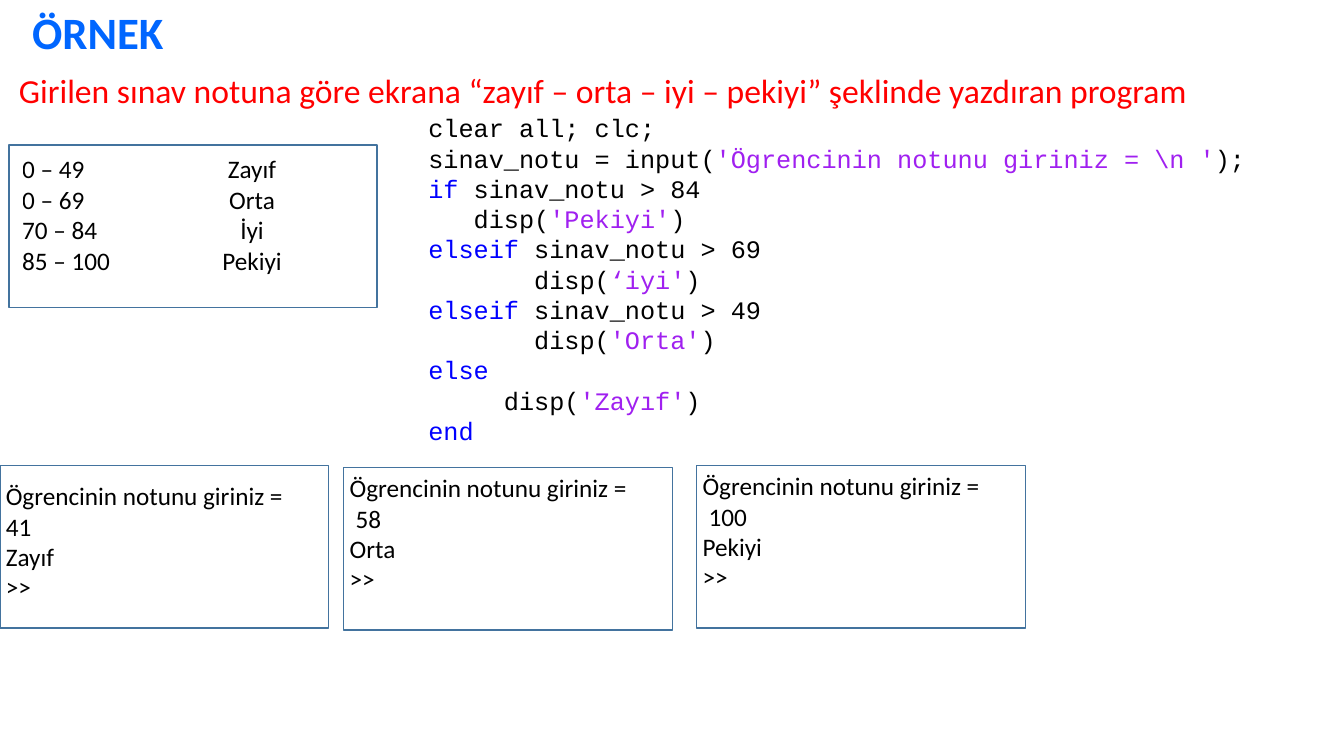
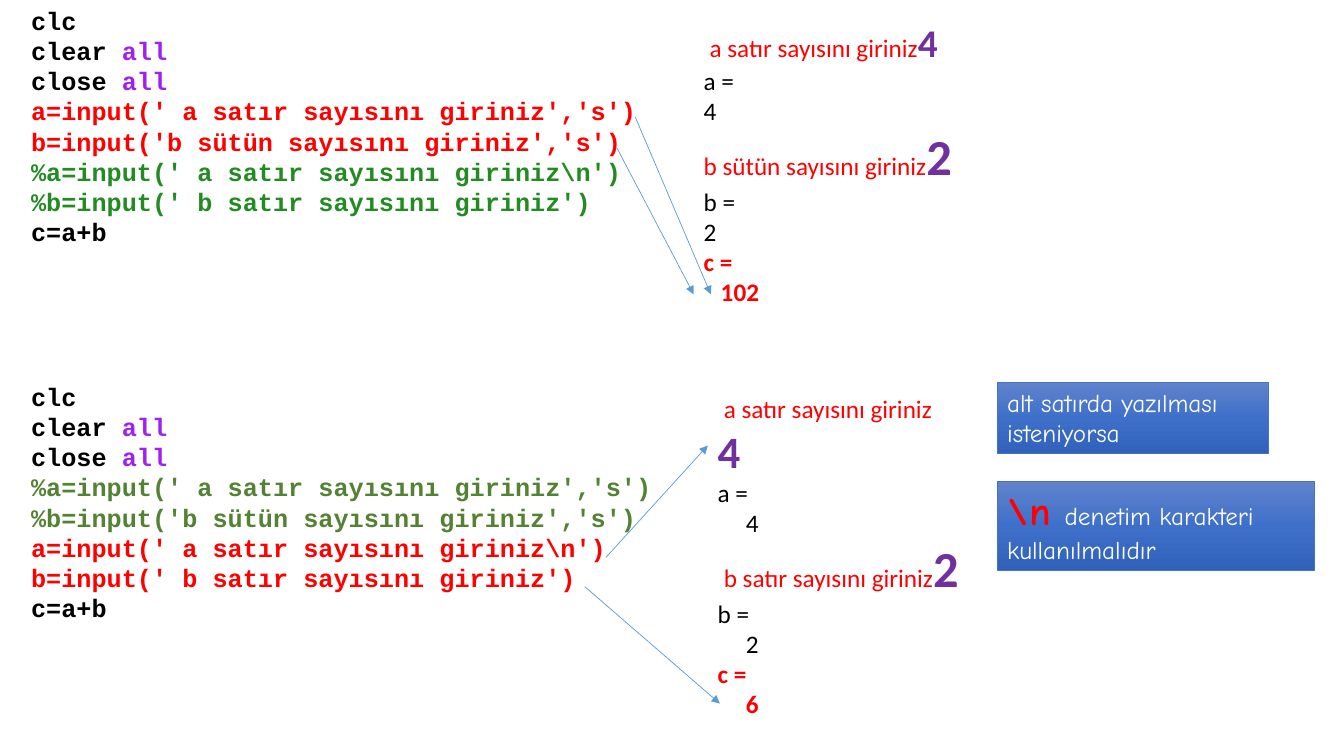
from copy import deepcopy
from dataclasses import dataclass
from typing import NamedTuple, Optional

from lxml.etree import SubElement
from pptx import Presentation
from pptx.dml.color import RGBColor
from pptx.enum.shapes import MSO_CONNECTOR, MSO_SHAPE
from pptx.enum.text import MSO_ANCHOR, MSO_AUTO_SIZE, PP_ALIGN
from pptx.oxml.ns import qn
from pptx.slide import Slide
from pptx.text.text import TextFrame
from pptx.util import Pt

EMU_PER_PX = 9144
SLIDE_WIDTH, SLIDE_HEIGHT = 1333, 750
BODY_FONT, CODE_FONT, NOTE_FONT = "Calibri", "Courier New", "Comic Neue"
BODY_SIZE = 18
CODE_COLUMN = 15

COLORS = {
    "black": "000000",
    "white": "FFFFFF",
    "red": "FF0000",
    "title": "0066FF",
    "keyword": "0000FF",
    "string": "A020F0",
    "comment": "228B22",
    "dark_comment": "548235",
    "answer": "7030A0",
    "frame": "43739E",
    "arrow": "5B9BD5",
    "note_line": "4472C4",
}
NOTE_GRADIENT = ((0, "6183CB"), (0.5, "3E70CA"), (1, "3062BB"))


class Box(NamedTuple):
    left: int
    top: int
    width: int
    height: int


class Run(NamedTuple):
    text: str
    color: Optional[str] = None
    size: Optional[int] = None
    bold: Optional[bool] = None


@dataclass(frozen=True)
class Line:
    runs: tuple[Run, ...]
    indent: int = 0


@dataclass(frozen=True)
class Console:
    left: int
    top: int
    text_top: int
    number: str
    number_indent: int
    result: str


@dataclass(frozen=True)
class Arrow:
    start: tuple[int, int]
    end: tuple[int, int]


@dataclass(frozen=True)
class Note:
    box: Box
    runs: tuple[Run, ...]


def line(*runs: Run | str, indent: int = 0) -> Line:
    return Line(tuple(Run(run) if isinstance(run, str) else run for run in runs), indent)


def keyword(text: str) -> Run:
    return Run(text, "keyword")


def red(text: str) -> Run:
    return Run(text, "red")


def display(text: str, columns: int) -> Line:
    return line("disp(", Run(text, "string"), ")", indent=columns * CODE_COLUMN)


def sum_result(text: str, indent: int = 0) -> Line:
    return line(Run(text, "red", bold=True), indent=indent)


GRADES = (("0 – 49", "Zayıf"), ("0 – 69", "Orta"), ("70 – 84", "İyi"), ("85 – 100", "Pekiyi"))

GRADE_CODE = [
    line("clear all; clc;"),
    line("sinav_notu = input(", Run("'Ögrencinin notunu giriniz = \\n '", "string"), ");"),
    line(keyword("if "), "sinav_notu > 84"),
    display("'Pekiyi'", 3),
    line(keyword("elseif "), "sinav_notu > 69"),
    display("‘iyi'", 7),
    line(keyword("elseif "), "sinav_notu > 49"),
    display("'Orta'", 7),
    line(keyword("else")),
    display("'Zayıf'", 5),
    line(keyword("end")),
]

CONSOLES = (
    Console(0, 462, 472, "41", 0, "Zayıf"),
    Console(341, 464, 464, "58", 6, "Orta"),
    Console(691, 462, 462, "100", 6, "Pekiyi"),
)

TEXT_INPUTS = ("a=input(' a satır sayısını giriniz','s')", "b=input('b sütün sayısını giriniz','s')")
NUMBER_INPUTS = ("a=input(' a satır sayısını giriniz\\n')", "b=input(' b satır sayısını giriniz')")

TEXT_OUTPUT = [
    line(red("a satır sayısını giriniz"), Run("4", "answer", 28, True), indent=6),
    line("a ="),
    line("4"),
    line(red("b sütün sayısını giriniz"), Run("2", "answer", 36, True)),
    line("b ="),
    line("2"),
    sum_result("c ="),
    sum_result("102", 17),
]
NUMBER_OUTPUT = [
    line(red("a satır sayısını giriniz"), indent=6),
    line(Run("4", "answer", 32, True)),
    line("a ="),
    line("4", indent=28),
    line(red("b satır sayısını giriniz"), Run("2", "answer", 36, True), indent=6),
    line("b ="),
    line("2", indent=28),
    sum_result("c ="),
    sum_result("6", 28),
]

ARROWS = (
    Arrow((630, 116), (705, 292)),
    Arrow((612, 147), (688, 292)),
    Arrow((601, 553), (702, 442)),
    Arrow((580, 582), (714, 698)),
)

NOTES = (
    Note(Box(989, 379, 269, 71), (Run("alt satırda yazılması isteniyorsa"),)),
    Note(
        Box(989, 478, 315, 88),
        (Run("\\n ", "red", 28, True), Run("denetim karakteri kullanılmalıdır")),
    ),
)


def px(*lengths: int) -> list[int]:
    return [length * EMU_PER_PX for length in lengths]


def rgb(name: str) -> RGBColor:
    return RGBColor.from_string(COLORS[name])


def write_text(
    frame: TextFrame,
    lines: list[Line],
    *,
    font: str = BODY_FONT,
    size: int = BODY_SIZE,
    color: str = "black",
    bold: bool = False,
    align: PP_ALIGN = PP_ALIGN.LEFT,
) -> None:
    for index, content in enumerate(lines):
        paragraph = frame.add_paragraph() if index else frame.paragraphs[0]
        paragraph.alignment = align
        if content.indent:
            paragraph._p.get_or_add_pPr().set("marL", str(content.indent * EMU_PER_PX))
        for part in content.runs:
            run = paragraph.add_run()
            run.text = part.text
            run.font.name = font
            run.font.size = Pt(part.size or size)
            run.font.bold = bold if part.bold is None else part.bold
            run.font.color.rgb = rgb(part.color or color)


def add_text(slide: Slide, box: Box, lines: list[Line], **text_format) -> None:
    frame = slide.shapes.add_textbox(*px(*box)).text_frame
    frame.word_wrap = True
    frame.auto_size = MSO_AUTO_SIZE.SHAPE_TO_FIT_TEXT
    write_text(frame, lines, **text_format)


def add_frame(slide: Slide, box: Box) -> None:
    shape = slide.shapes.add_shape(MSO_SHAPE.RECTANGLE, *px(*box))
    shape.shadow.inherit = False
    shape.fill.background()
    shape.line.color.rgb = rgb("frame")
    shape.line.width = Pt(1)


def add_note(slide: Slide, note: Note) -> None:
    shape = slide.shapes.add_shape(MSO_SHAPE.RECTANGLE, *px(*note.box))
    shape.shadow.inherit = False
    shape.fill.gradient()
    shape.fill.gradient_angle = 270
    stop_list = shape.element.spPr.find(qn("a:gradFill")).find(qn("a:gsLst"))
    stop_list.append(deepcopy(stop_list[-1]))
    for stop, (position, color) in zip(shape.fill.gradient_stops, NOTE_GRADIENT):
        stop.position = position
        stop.color.rgb = RGBColor.from_string(color)
    shape.line.color.rgb = rgb("note_line")
    shape.line.width = Pt(0.5)
    shape.text_frame.word_wrap = True
    shape.text_frame.vertical_anchor = MSO_ANCHOR.TOP
    write_text(shape.text_frame, [Line(note.runs)], font=NOTE_FONT, color="white")


def add_arrow(slide: Slide, arrow: Arrow) -> None:
    connector = slide.shapes.add_connector(MSO_CONNECTOR.STRAIGHT, *px(*arrow.start, *arrow.end))
    connector.line.color.rgb = rgb("arrow")
    connector.line.width = Pt(0.5)
    properties = connector.element.spPr
    SubElement(properties.find(qn("a:ln")), qn("a:tailEnd"), type="triangle")
    SubElement(properties, qn("a:effectLst"))


def add_grade_table(slide: Slide, box: Box) -> None:
    table = slide.shapes.add_table(len(GRADES), 2, *px(*box)).table
    table.first_row = table.horz_banding = False
    for row, values in enumerate(GRADES):
        for column, (value, align) in enumerate(zip(values, (PP_ALIGN.LEFT, PP_ALIGN.CENTER))):
            cell = table.cell(row, column)
            cell.fill.solid()
            cell.fill.fore_color.rgb = rgb("white")
            cell.margin_left = cell.margin_right = cell.margin_top = cell.margin_bottom = 0
            cell.vertical_anchor = MSO_ANCHOR.MIDDLE
            write_text(cell.text_frame, [line(value)], align=align)


def add_console(slide: Slide, console: Console) -> None:
    lines = [
        line("Ögrencinin notunu giriniz ="),
        line(console.number, indent=console.number_indent),
        line(console.result),
        line(">>"),
    ]
    add_text(slide, Box(console.left - 4, console.text_top, 333, 131), lines)
    add_frame(slide, Box(console.left, console.top, 326, 161))


def add_program(slide: Slide, top: int, inputs: list[Line]) -> None:
    clearing = [line(f"{command} ", Run("all", "string")) for command in ("clear", "close")]
    lines = [line("clc"), *clearing, *inputs, line("c=a+b")]
    add_text(slide, Box(21, top, 667, 252), lines, font=CODE_FONT, bold=True)


def active(inputs: tuple[str, ...]) -> list[Line]:
    return [line(red(text)) for text in inputs]


def commented(inputs: tuple[str, ...], color: str) -> list[Line]:
    return [line(Run(f"%{text}", color)) for text in inputs]


def build_grade_slide(slide: Slide) -> None:
    task = "Girilen sınav notuna göre ekrana “zayıf – orta – iyi – pekiyi” şeklinde yazdıran program"
    add_grade_table(slide, Box(22, 153, 304, 120))
    add_text(slide, Box(9, 64, 1227, 50), [line(task)], size=24, color="red")
    add_text(slide, Box(22, 0, 219, 64), [line("ÖRNEK")], size=32, color="title", bold=True)
    add_frame(slide, Box(9, 144, 365, 161))
    add_text(slide, Box(415, 107, 876, 343), GRADE_CODE, font=CODE_FONT)
    for console in CONSOLES:
        add_console(slide, console)


def build_input_slide(slide: Slide) -> None:
    add_program(slide, 0, active(TEXT_INPUTS) + commented(NUMBER_INPUTS, "comment"))
    add_text(slide, Box(688, 13, 645, 300), TEXT_OUTPUT)
    add_program(slide, 373, commented(TEXT_INPUTS, "dark_comment") + active(NUMBER_INPUTS))
    add_text(slide, Box(702, 385, 631, 337), NUMBER_OUTPUT)
    for arrow in ARROWS:
        add_arrow(slide, arrow)
    for note in NOTES:
        add_note(slide, note)


def main() -> None:
    presentation = Presentation()
    presentation.slide_width, presentation.slide_height = px(SLIDE_WIDTH, SLIDE_HEIGHT)
    for build in (build_grade_slide, build_input_slide):
        build(presentation.slides.add_slide(presentation.slide_layouts[6]))
    presentation.save("out.pptx")


if __name__ == "__main__":
    main()
